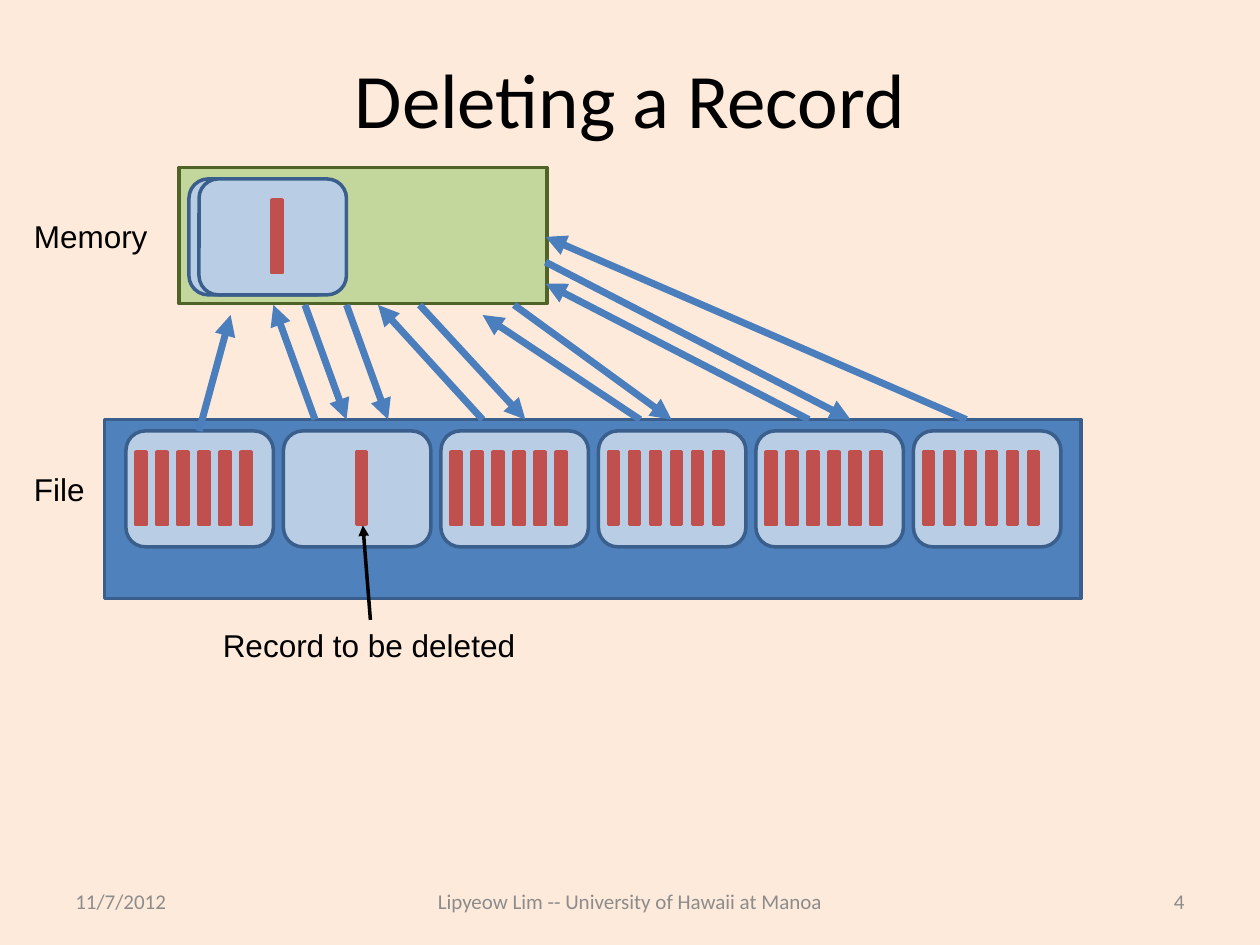
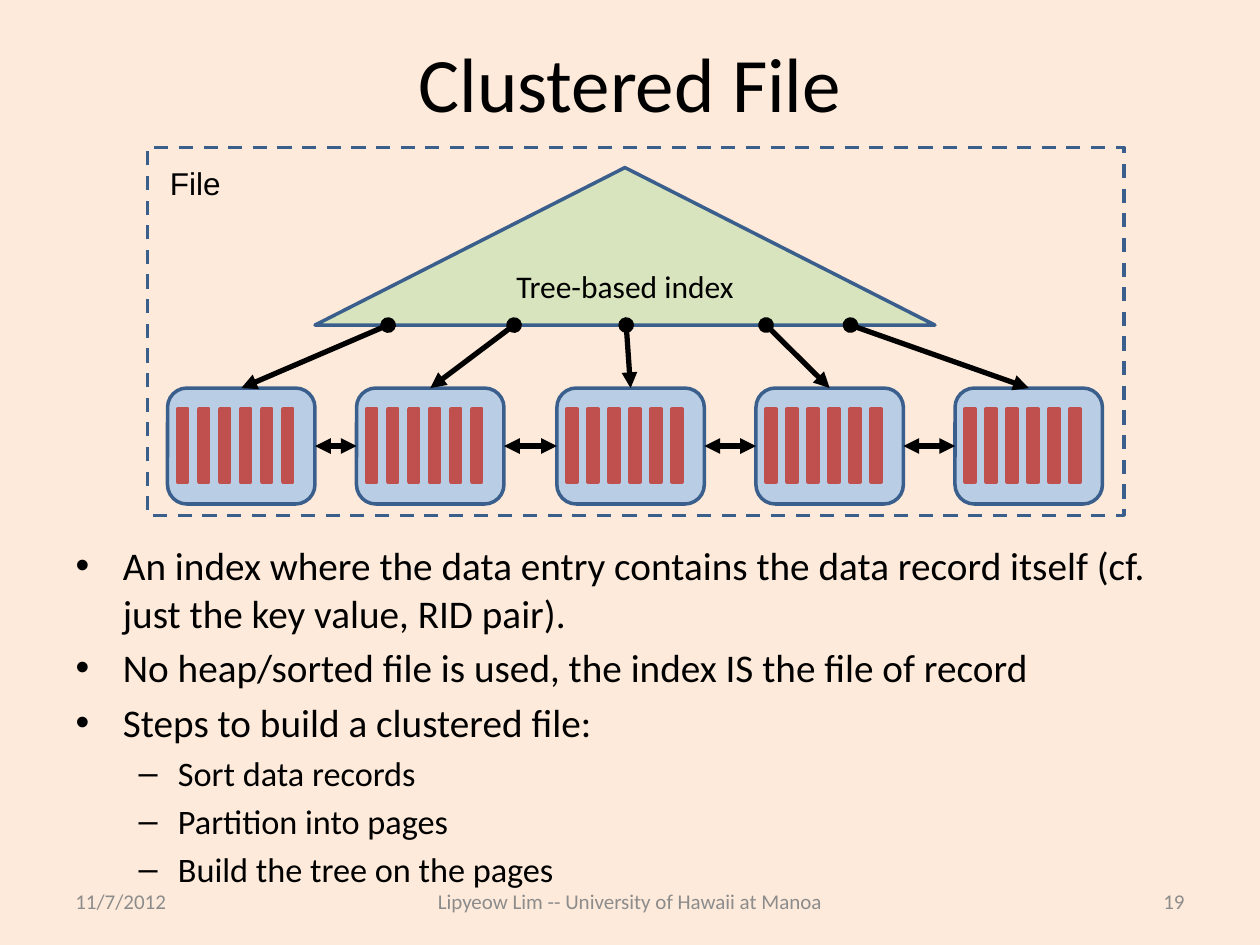
from pptx import Presentation
from pptx.dml.color import RGBColor
from pptx.enum.dml import MSO_LINE_DASH_STYLE as DASH
from pptx.enum.shapes import MSO_CONNECTOR, MSO_SHAPE as SHAPE
from pptx.enum.text import MSO_ANCHOR as ANCHOR, MSO_AUTO_SIZE as AUTO_SIZE, PP_ALIGN as ALIGN
from pptx.oxml.ns import qn
from pptx.util import Inches, Pt
from lxml.etree import SubElement

BACKGROUND = "FDEADA"
BLACK = "000000"
GREY = "8C8C8C"
OUTLINE = "3A5F8C"
FILE_BLUE = "4F81BD"
ARROW_BLUE = "4B7EBC"
PAGE_BLUE = "B9CDE5"
RECORD_RED = "C0504D"
MEMORY_GREEN, MEMORY_EDGE = "C3D69B", "4F6228"
INDEX_GREEN = "D7E4BD"

PAGE_WIDTH, PAGE_HEIGHT = 1.17, 0.92
RECORD_WIDTH, RECORD_HEIGHT = 0.08, 0.58
RECORD_STEP = 1 / 6
ALL_RECORDS = range(6)
KEPT_SLOT = [3]


def color(hex_string):
    return RGBColor.from_string(hex_string)


def place(shape, left, top, width, height):
    shape.left, shape.top = Inches(left), Inches(top)
    shape.width, shape.height = Inches(width), Inches(height)


def style_paragraph(paragraph, size, font="Calibri", hex_string=BLACK, align=None):
    if align is not None:
        paragraph.alignment = align
    for run in paragraph.runs:
        run.font.size = Pt(size)
        run.font.name = font
        run.font.color.rgb = color(hex_string)


def add_box(shapes, kind, left, top, width, height, fill=None, line=OUTLINE):
    box = shapes.add_shape(kind, Inches(left), Inches(top), Inches(width), Inches(height))
    box.shadow.inherit = False
    if fill:
        box.fill.solid()
        box.fill.fore_color.rgb = color(fill)
    else:
        box.fill.background()
    box.line.color.rgb = color(line)
    box.line.width = Pt(2)
    return box


def add_text(slide, text, left, top, width, height=0.4):
    box = slide.shapes.add_textbox(Inches(left), Inches(top), Inches(width), Inches(height))
    box.text_frame.text = text
    return box.text_frame


def add_label(slide, text, left, top, width):
    text_frame = add_text(slide, text, left, top, width)
    text_frame.word_wrap = False
    style_paragraph(text_frame.paragraphs[0], 18, font="Arial")


def add_arrow(slide, start, end, hex_string, width, head=None):
    """Draw a line with a triangle at its end and, if given, a head at its start."""
    points = [Inches(length) for length in (*start, *end)]
    arrow = slide.shapes.add_connector(MSO_CONNECTOR.STRAIGHT, *points)
    arrow.line.color.rgb = color(hex_string)
    arrow.line.width = Pt(width)
    properties = arrow._element.spPr
    line = properties.find(qn("a:ln"))
    if head:
        SubElement(line, qn("a:headEnd"), type=head)
    SubElement(line, qn("a:tailEnd"), type="triangle")
    SubElement(properties, qn("a:effectLst"))


def add_page(slide, left, top, slots=ALL_RECORDS):
    """Draw a page with a record in each of the given slots."""
    page = slide.shapes.add_group_shape()
    add_box(page.shapes, SHAPE.ROUNDED_RECTANGLE, left, top, PAGE_WIDTH, PAGE_HEIGHT, PAGE_BLUE)
    for slot in slots:
        add_box(page.shapes, SHAPE.RECTANGLE, left + 0.08 + slot * RECORD_STEP, top + 0.165,
                RECORD_WIDTH, RECORD_HEIGHT, RECORD_RED, RECORD_RED)


def add_footer(slide, number):
    for text, left, width, align in [
        ("11/7/2012", 0.5, 2.33, ALIGN.LEFT),
        ("Lipyeow Lim -- University of Hawaii at Manoa", 3, 4, ALIGN.CENTER),
        (str(number), 7.17, 2.33, ALIGN.RIGHT),
    ]:
        text_frame = add_text(slide, text, left, 6.95, width)
        text_frame.word_wrap = True
        text_frame.vertical_anchor = ANCHOR.MIDDLE
        style_paragraph(text_frame.paragraphs[0], 12, hex_string=GREY, align=align)


def add_slide(presentation, layout_name, title_text, title_height, number):
    slide = presentation.slides.add_slide(presentation.slide_layouts.get_by_name(layout_name))
    title = slide.shapes.title
    place(title, 0.5, 0.3, 9, title_height)
    title.text_frame.text = title_text
    title.text_frame.auto_size = AUTO_SIZE.NONE
    title.text_frame.vertical_anchor = ANCHOR.MIDDLE
    style_paragraph(title.text_frame.paragraphs[0], 44, align=ALIGN.CENTER)
    add_footer(slide, number)
    return slide


def fill_body(slide, items):
    body = slide.placeholders[1]
    place(body, 0.5, 4.25, 9, 2.45)
    text_frame = body.text_frame
    text_frame.text = "\n".join(text for level, text in items)
    text_frame.auto_size = AUTO_SIZE.NONE
    for paragraph, (level, text) in zip(text_frame.paragraphs, items):
        paragraph.level = level
        style_paragraph(paragraph, 19.6 if level else 22.4)
    text_frame.paragraphs[0].space_before = Pt(0)


def build_deleting_slide(presentation):
    slide = add_slide(presentation, "Title Only", "Deleting a Record", 0.95, 4)
    memory_bottom, file_top = 2.42, 3.33

    add_box(slide.shapes, SHAPE.RECTANGLE, 1.42, 1.33, 2.92, 1.08, MEMORY_GREEN, MEMORY_EDGE)
    add_box(slide.shapes, SHAPE.RECTANGLE, 0.83, file_top, 7.75, 1.42, FILE_BLUE)
    for index in range(6):
        add_page(slide, 1 + 1.25 * index, 3.42, KEPT_SLOT if index == 1 else ALL_RECORDS)
    add_page(slide, 1.5, 1.42, [])
    add_page(slide, 1.58, 1.42, KEPT_SLOT)

    add_label(slide, "Memory", 0.17, 1.67, 1.11)
    add_label(slide, "File", 0.17, 3.68, 0.61)
    add_label(slide, "Record to be deleted", 1.67, 4.92, 2.54)
    add_arrow(slide, (2.94, 4.92), (2.88, 4.17), BLACK, 2)

    reads = [
        ((1.58, 3.42), (1.83, 2.5)),
        ((2.5, file_top), (2.17, memory_bottom)),
        ((3.83, file_top), (3, memory_bottom)),
        ((5.08, file_top), (3.83, 2.5)),
        ((6.42, file_top), (4.33, 2.25)),
        ((7.67, file_top), (4.33, 1.88)),
    ]
    writes = [
        ((2.42, memory_bottom), (2.75, file_top)),
        ((2.75, memory_bottom), (3.08, file_top)),
        ((3.33, memory_bottom), (4.17, file_top)),
        ((4.08, memory_bottom), (5.33, file_top)),
        ((4.33, 2.08), (6.75, file_top)),
    ]
    for start, end in reads + writes:
        add_arrow(slide, start, end, ARROW_BLUE, 4)


def build_clustered_slide(presentation):
    slide = add_slide(presentation, "Title and Content", "Clustered File", 0.7, 19)
    fill_body(slide, [
        (0, "An index where the data entry contains the data record itself "
            "(cf. just the key value, RID pair)."),
        (0, "No heap/sorted file is used, the index IS the file of record"),
        (0, "Steps to build a clustered file:"),
        (1, "Sort data records"),
        (1, "Partition into pages"),
        (1, "Build the tree on the pages"),
    ])

    file_frame = add_box(slide.shapes, SHAPE.RECTANGLE, 1.17, 1.17, 7.75, 2.92)
    file_frame.line.dash_style = DASH.DASH
    add_label(slide, "File", 1.25, 1.25, 0.67)

    tree = add_box(slide.shapes, SHAPE.ISOSCELES_TRIANGLE, 2.5, 1.33, 4.92, 1.25, INDEX_GREEN)
    tree.adjustments[0] = 0.5
    tree.text_frame.text = "Tree-based index"
    tree.text_frame.vertical_anchor = ANCHOR.MIDDLE
    style_paragraph(tree.text_frame.paragraphs[0], 18, align=ALIGN.CENTER)

    page_top, tree_bottom = 3.08, 2.58
    page_lefts = [1.33, 2.83, 4.42, 6, 7.58]
    pointer_starts = [3.08, 4.08, 4.97, 6.08, 6.75]
    for left, pointer_start in zip(page_lefts, pointer_starts):
        add_page(slide, left, page_top)
        add_arrow(slide, (pointer_start, tree_bottom), (left + PAGE_WIDTH / 2, page_top),
                  BLACK, 3, head="oval")
    middle = page_top + PAGE_HEIGHT / 2
    for left, next_left in zip(page_lefts, page_lefts[1:]):
        add_arrow(slide, (left + PAGE_WIDTH, middle), (next_left, middle),
                  BLACK, 3, head="triangle")


def main():
    presentation = Presentation()
    presentation.slide_width, presentation.slide_height = Inches(10), Inches(7.5)
    background = presentation.slide_master.background.fill
    background.solid()
    background.fore_color.rgb = color(BACKGROUND)
    build_deleting_slide(presentation)
    build_clustered_slide(presentation)
    presentation.save("out.pptx")


if __name__ == "__main__":
    main()
